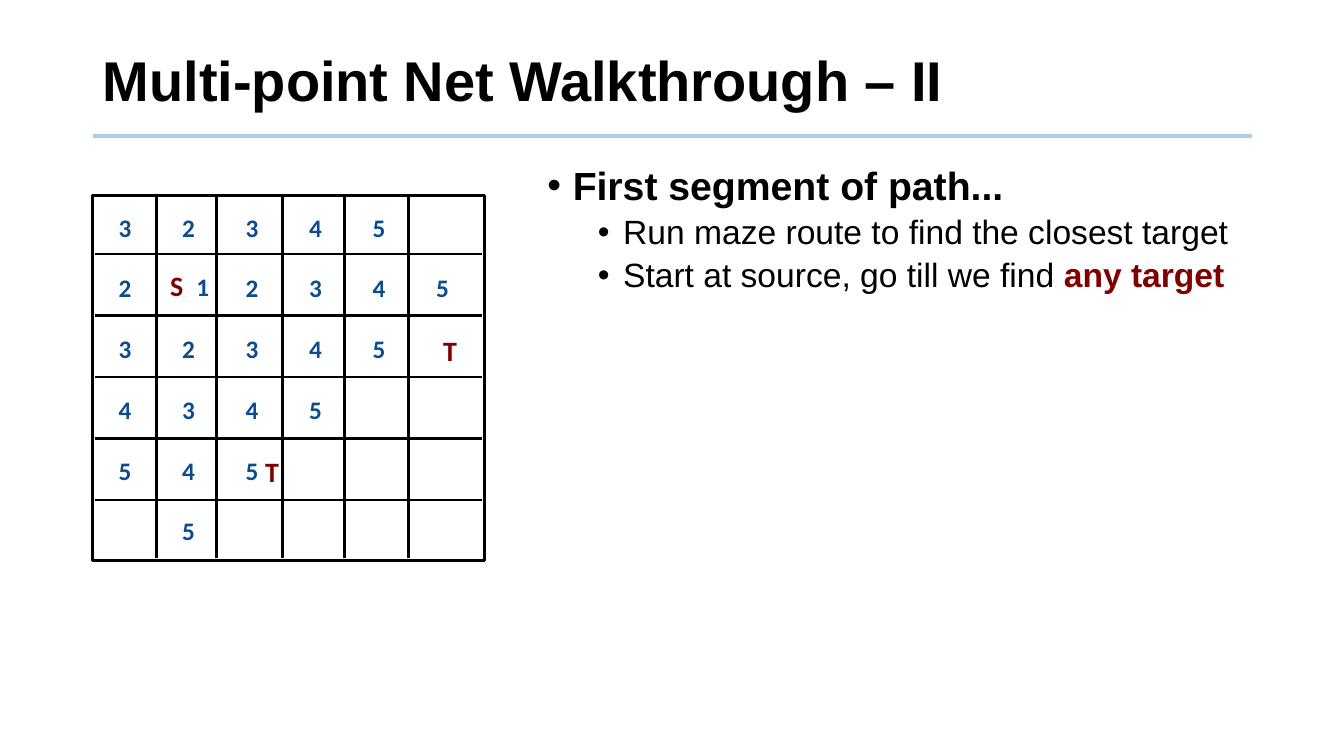
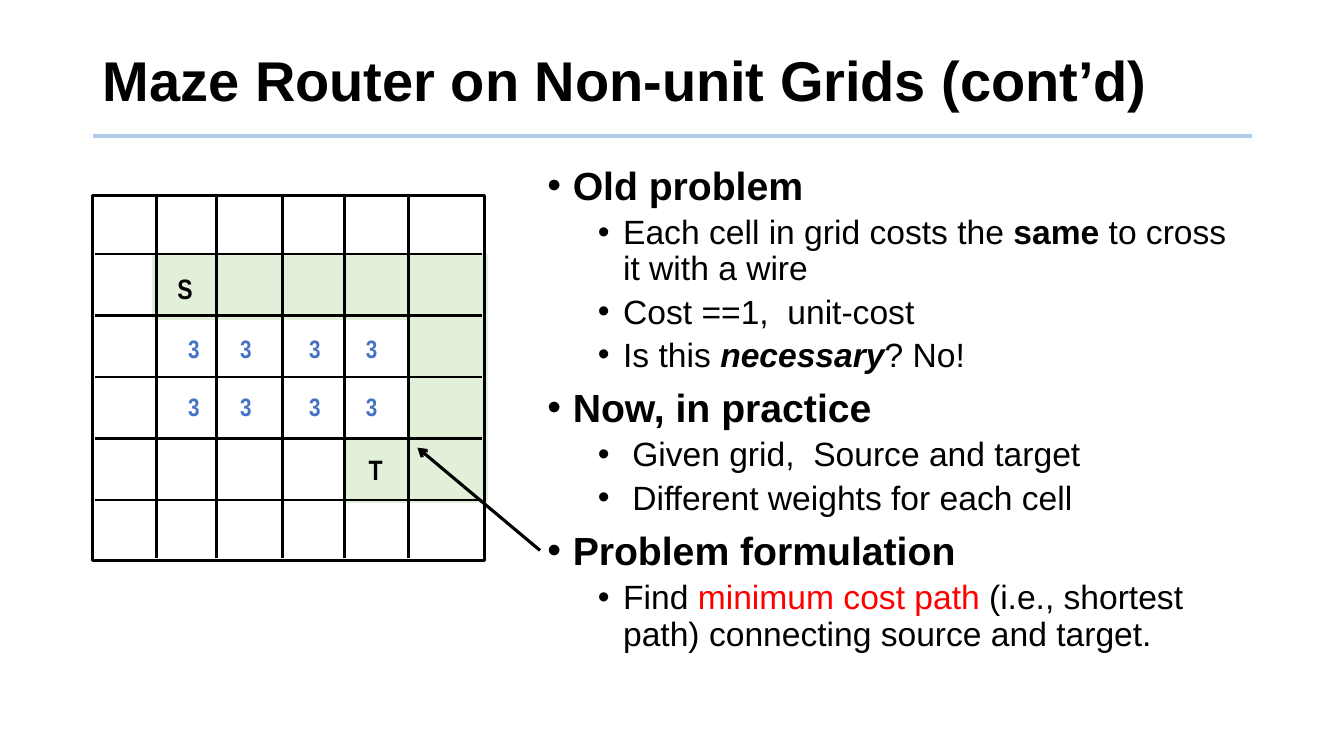
import pptx
import pptx.util
import pptx.dml.color
import pptx.enum.shapes
import pptx.enum.text
import pptx.oxml.ns
import lxml.etree

Cm = pptx.util.Cm
Pt = pptx.util.Pt
RGB = pptx.dml.color.RGBColor
BLACK = RGB(0, 0, 0)
RULE = RGB(0xAD, 0xCD, 0xEA)
NAVY = RGB(0x0B, 0x4B, 0x8E)
BLUE = RGB(0x44, 0x72, 0xC4)
MAROON = RGB(0x80, 0, 0)
RED = RGB(0xFF, 0, 0)
GREEN = RGB(0xE2, 0xF0, 0xD9)


def add_tag(parent, name, **attrs):
    return lxml.etree.SubElement(parent, pptx.oxml.ns.qn(name), attrs)


class Deck:
    font = "Arial"

    def __init__(self):
        self.prs = pptx.Presentation()
        self.prs.slide_width = Cm(33.87)
        self.prs.slide_height = Cm(19.05)
        self.layout = self.prs.slide_layouts[1]
        boxes = (2.34, 0.71, 29.21, 2.79), (13.54, 4.06, 18.01, 13.08)
        for index, box in enumerate(boxes):
            holder = self.layout.placeholders[index]
            holder.left, holder.top, holder.width, holder.height = map(Cm, box)

    def start(self, title):
        self.slide = self.prs.slides.add_slide(self.layout)
        frame = self.slide.shapes.title.text_frame
        frame.text = title
        frame.vertical_anchor = pptx.enum.text.MSO_ANCHOR.MIDDLE
        frame.auto_size = pptx.enum.text.MSO_AUTO_SIZE.NONE
        para = frame.paragraphs[0]
        para.alignment = pptx.enum.text.PP_ALIGN.LEFT
        para.line_spacing = 0.9
        self.style(para.runs[0], 40, bold=True)
        self.line(2.34, 3.43, 31.55, 3.43, RULE, 3)

    def style(self, run, size, color=BLACK, bold=False, italic=False, font=None):
        run.font.name = font or self.font
        run.font.size = Pt(size)
        run.font.bold = bold
        run.font.italic = italic
        run.font.color.rgb = color

    def line(self, left, top, right, bottom, color=BLACK, width=2, arrow=False):
        line = self.slide.shapes.add_connector(
            pptx.enum.shapes.MSO_CONNECTOR.STRAIGHT,
            Cm(left), Cm(top), Cm(right), Cm(bottom))
        line.line.color.rgb = color
        line.line.width = Pt(width)
        if arrow:
            add_tag(line.line._get_or_add_ln(), "a:tailEnd", type="arrow")
        add_tag(line.element.spPr, "a:effectLst")

    def rect(self, left, top, width, height, fill=None, edge=BLACK, weight=2):
        box = self.slide.shapes.add_shape(
            pptx.enum.shapes.MSO_SHAPE.RECTANGLE,
            Cm(left), Cm(top), Cm(width), Cm(height))
        box.shadow.inherit = False
        if fill is None:
            box.fill.background()
        else:
            box.fill.solid()
            box.fill.fore_color.rgb = fill
        box.line.color.rgb = edge
        box.line.width = Pt(weight)

    def grid(self):
        self.rect(2.34, 4.93, 9.88, 9.19)
        for row in range(5):
            top = 6.4 + 1.55 * row
            self.line(2.39, top, 12.14, top)
        for left in (3.94, 5.46, 7.11, 8.69, 10.29):
            self.line(left, 4.93, left, 14.07)

    def mark(self, text, left, top, color, size=20, font="Calibri"):
        box = self.slide.shapes.add_textbox(Cm(left), Cm(top), Cm(0.86), Cm(1.02))
        frame = box.text_frame
        frame.word_wrap = False
        frame.auto_size = pptx.enum.text.MSO_AUTO_SIZE.SHAPE_TO_FIT_TEXT
        frame.text = text
        self.style(frame.paragraphs[0].runs[0], size, color, True, font=font)

    def costs(self, text, top, stops):
        box = self.slide.shapes.add_textbox(Cm(4.49), Cm(top), Cm(5.6), Cm(1.02))
        frame = box.text_frame
        frame.word_wrap = True
        frame.text = text
        para = frame.paragraphs[0]
        tabs = add_tag(para._p.get_or_add_pPr(), "a:tabLst")
        for stop in stops:
            add_tag(tabs, "a:tab", pos=str(Cm(stop)), algn="l")
        for run in para.runs:
            self.style(run, 18, BLUE, True, font="Arial Narrow")

    def bullets(self, items):
        frame = self.slide.placeholders[1].text_frame
        frame.auto_size = pptx.enum.text.MSO_AUTO_SIZE.NONE
        for index, (level, gap, parts) in enumerate(items):
            para = frame.add_paragraph() if index else frame.paragraphs[0]
            para.level = level
            props = para._p.get_or_add_pPr()
            props.set("marL", str(Cm(0.64 + 1.27 * level + gap)))
            props.set("indent", str(-Cm(0.64 + gap)))
            add_tag(props, "a:buFont", typeface=self.font)
            add_tag(props, "a:buChar", char="•")
            para.line_spacing = 0.9
            para.space_before = Pt((10, 5)[level] if index else 0)
            for text, look in parts:
                run = para.add_run()
                run.text = text
                self.style(run, (28, 24)[level], **look)


def head(text):
    return 0, 0, [(text, {"bold": True})]


def item(*parts, gap=0):
    return 1, gap, [(part, {}) if isinstance(part, str) else part for part in parts]


def show_net(deck):
    deck.start("Multi-point Net Walkthrough – II")
    deck.grid()
    for row, cells in enumerate(("32345", "2 2345", "32345", "4345", "545", " 5")):
        for col, cell in enumerate(cells):
            if cell != " ":
                deck.mark(cell, 2.74 + 1.6 * col, 5.22 + 1.53 * row, NAVY, 18)
    deck.mark("1", 4.7, 6.71, NAVY, 18)
    for text, left, top in (("S", 4.04, 6.63), ("T", 6.43, 11.33), ("T", 10.92, 8.28)):
        deck.mark(text, left, top, MAROON)
    deck.bullets([
        head("First segment of path..."),
        item("Run maze route to find the closest target"),
        item("Start at source, go till we find",
             (" any target", {"color": MAROON, "bold": True})),
    ])


def show_costs(deck):
    deck.start("Maze Router on Non-unit Grids (cont’d)")
    for box in ((8.71, 11.1, 1.55, 1.5), (10.34, 6.45, 1.88, 6.15),
                (3.89, 6.45, 6.35, 1.55)):
        deck.rect(*box, fill=GREEN, edge=GREEN, weight=4)
    deck.grid()
    for text, left, top in (("S", 4.22, 6.71), ("T", 9.04, 11.28)):
        deck.mark(text, left, top, BLACK, font="Arial Narrow")
    for top in (8.28, 9.73):
        deck.costs("3\t3\t3\t3", top, (1.31, 3.05, 4.48))
    deck.line(13.61, 13.87, 10.52, 11.28, width=2.25, arrow=True)
    deck.bullets([
        head("Old problem"),
        item("Each cell in grid costs the ", ("same ", {"bold": True}),
             "to cross it with a wire"),
        item("Cost ==1,  unit-cost"),
        item("Is this ", ("necessary", {"bold": True, "italic": True}), "? No!"),
        head("Now, in practice"),
        item("Given grid,  Source and target", gap=0.23),
        item("Different weights for each cell", gap=0.23),
        head("Problem formulation"),
        item("Find ", ("minimum cost path ", {"color": RED}),
             "(i.e., shortest path) connecting source and target."),
    ])


def main():
    deck = Deck()
    show_net(deck)
    show_costs(deck)
    deck.prs.save("out.pptx")


if __name__ == "__main__":
    main()
